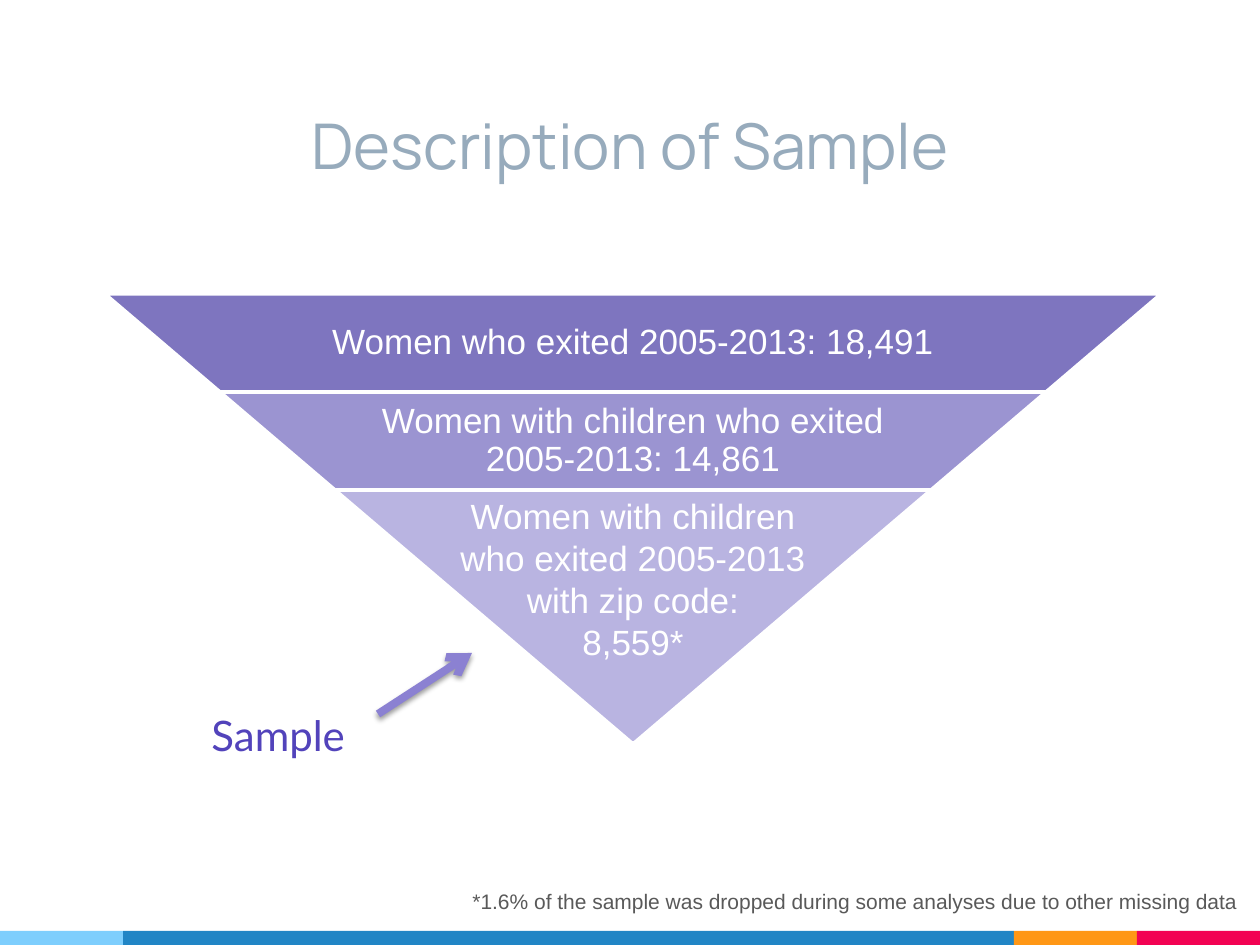
from lxml import etree
from pptx import Presentation
from pptx import util as u
from pptx.dml.color import RGBColor
from pptx.enum import shapes, text
from pptx.oxml import parse_xml
from pptx.oxml.ns import nsdecls, qn

PX = u.Inches(1) / 126  # the slide is 1260 x 945 px

WHITE = RGBColor(0xFF, 0xFF, 0xFF)
TITLE_GRAY = RGBColor(0x97, 0xAB, 0xBC)
NOTE_GRAY = RGBColor(0x59, 0x59, 0x59)
SAMPLE_PURPLE = RGBColor(0x52, 0x43, 0xBB)
ARROW_PURPLE = RGBColor(0x8B, 0x81, 0xD2)
TIER_COLORS = [RGBColor(0x7E, 0x75, 0xBF), RGBColor(0x9B, 0x94, 0xD1), RGBColor(0xB9, 0xB4, 0xE1)]
SKY = RGBColor(0x7E, 0xCE, 0xFD)
BLUE = RGBColor(0x21, 0x85, 0xC5)
ORANGE = RGBColor(0xFF, 0x97, 0x15)
RED = RGBColor(0xF2, 0x02, 0x53)


def px(*lengths):
    return [u.Emu(round(length * PX)) for length in lengths]


def write(box, lines, size, color, font="Arial", align=text.PP_ALIGN.LEFT,
          anchor=text.MSO_ANCHOR.TOP, inset=None, spacing=None):
    frame = box.text_frame
    frame.word_wrap = True
    frame.vertical_anchor = anchor
    if inset is not None:
        frame.margin_left = frame.margin_top = frame.margin_right = frame.margin_bottom = px(inset)[0]
    frame.text = "\n".join(lines)
    for paragraph in frame.paragraphs:
        paragraph.alignment = align
        if spacing:
            paragraph.line_spacing = spacing
        for run in paragraph.runs:
            run.font.size = u.Pt(size)
            run.font.name = font
            run.font.color.rgb = color


deck = Presentation()
deck.slide_width, deck.slide_height = px(1260, 945)
slide = deck.slides.add_slide(deck.slide_layouts[5])

# Footer stripe
stripe_left = 0
for width, color in [(123, SKY), (891, BLUE), (123, ORANGE), (123, RED)]:
    stripe = slide.shapes.add_shape(shapes.MSO_SHAPE.RECTANGLE, *px(stripe_left, 931, width, 14))
    stripe.shadow.inherit = False
    stripe.fill.solid()
    stripe.fill.fore_color.rgb = color
    stripe.line.fill.background()
    stripe_left += width

title = slide.shapes.title
title.left, title.top, title.width, title.height = px(123, 38, 1014, 157)
write(title, ["Description of Sample"], 36, TITLE_GRAY, font="Manrope",
      align=text.PP_ALIGN.CENTER, anchor=text.MSO_ANCHOR.BOTTOM, inset=13)

# Funnel: each tier starts where the one above has narrowed to
TIER_HEIGHT, TIER_STEP = 98, 115
tiers = [
    (["Women who exited 2005-2013: 18,491"], TIER_HEIGHT),
    (["Women with children who exited 2005-2013: 14,861"], TIER_HEIGHT),
    (["Women with children", "who exited 2005-2013", "with zip code:", "8,559*"], 253),
]
for level, (lines, height) in enumerate(tiers):
    left = 105 + TIER_STEP * level
    top = 294 + TIER_HEIGHT * level
    width = 1056 - 2 * TIER_STEP * level
    tier = slide.shapes.add_shape(shapes.MSO_SHAPE.TRAPEZOID, *px(left, top, width, height))
    tier.adjustments[0] = TIER_STEP / TIER_HEIGHT
    tier.rotation = 180
    tier.shadow.inherit = False
    tier.fill.solid()
    tier.fill.fore_color.rgb = TIER_COLORS[level]
    tier.line.color.rgb = WHITE
    tier.line.width = u.Pt(2)

    is_tip = level == len(tiers) - 1
    label_width = width if is_tip else 0.65 * width
    label = slide.shapes.add_textbox(*px(left + (width - label_width) / 2, top, label_width, height))
    write(label, lines, 20, WHITE, align=text.PP_ALIGN.CENTER, inset=4,
          anchor=text.MSO_ANCHOR.TOP if is_tip else text.MSO_ANCHOR.MIDDLE,
          spacing=None if is_tip else 0.9)

footnote = slide.shapes.add_textbox(*px(460, 882, 800, 38))
write(footnote, ["*1.6% of the sample was dropped during some analyses due to other missing data"],
      12, NOTE_GRAY)

arrow = slide.shapes.add_connector(shapes.MSO_CONNECTOR.STRAIGHT, *px(378, 714, 472, 653))
arrow.line.color.rgb = ARROW_PURPLE
arrow.line.width = u.Pt(4.5)
etree.SubElement(arrow.line._get_or_add_ln(), qn("a:tailEnd"), type="arrow")
arrow._element.spPr.append(parse_xml(
    f'<a:effectLst {nsdecls("a")}><a:outerShdw blurRad="{u.Pt(3.1)}" dist="{u.Pt(1.6)}" '
    'dir="5400000" rotWithShape="0"><a:srgbClr val="000000"><a:alpha val="38000"/>'
    '</a:srgbClr></a:outerShdw></a:effectLst>'))

sample = slide.shapes.add_textbox(*px(199, 703, 169, 63))
write(sample, ["Sample"], 24, SAMPLE_PURPLE, font="Lato")

deck.save("out.pptx")
